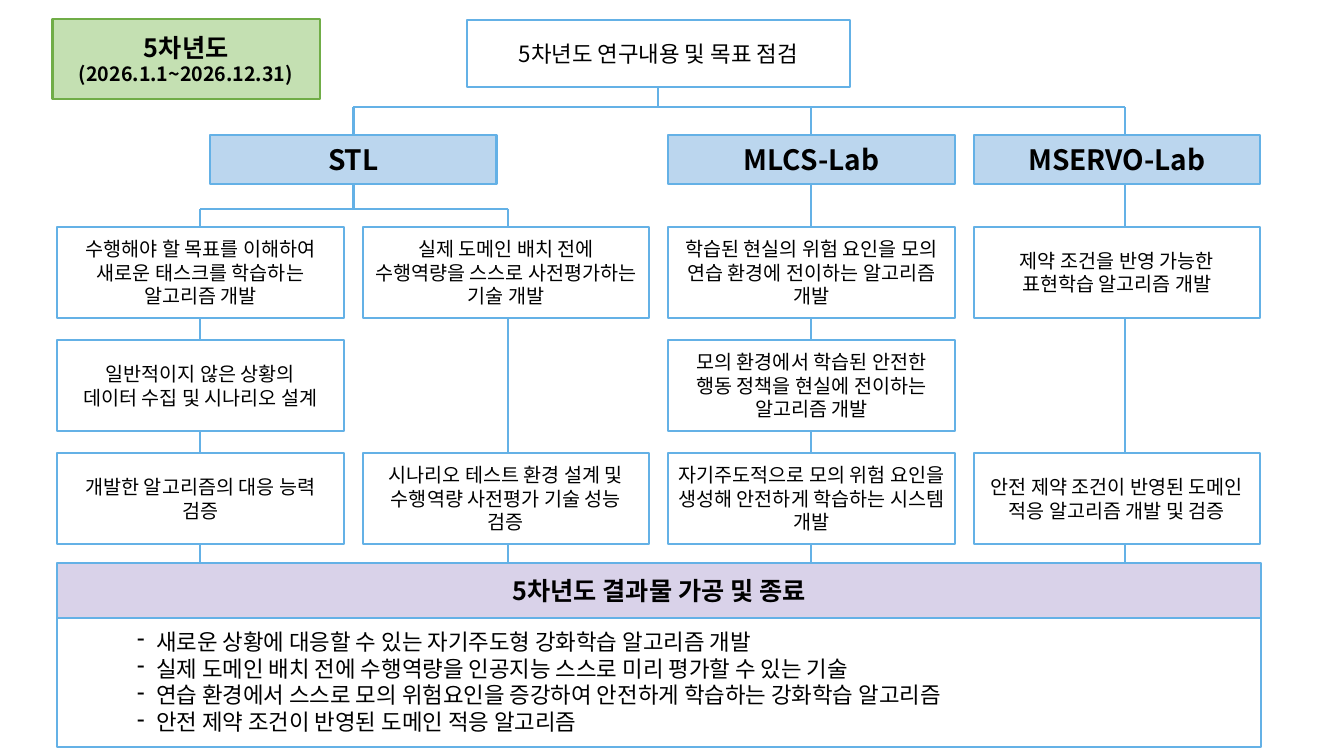
from pptx import Presentation
from pptx.dml.color import RGBColor
from pptx.enum.shapes import MSO_CONNECTOR as CONN, MSO_SHAPE as SHAPE
from pptx.enum.text import MSO_ANCHOR as ANCHOR, PP_ALIGN as ALIGN
from pptx.oxml.ns import qn
from pptx.util import Pt
from lxml import etree

FONT = "Noto Sans CJK KR"
BLUE, GREEN = "64B1E6", "70AD47"
WHITE, SKY, LILAC, LIME = "FFFFFF", "BBD6EE", "D9D2E9", "C4E0B2"

# Chart grid, in points
LEFT, PITCH, BOX_W = 41, 218.2, 204.5
ROW_TOP, ROW_PITCH, BOX_H = 162, 80.8, 65
HEAD_TOP, HEAD_H = 96.5, 35
BUS_Y, BRANCH_Y, RESULT_Y = 76.5, 149, 402.5
STL_X = 252.5
TRUNKS = [143, 363, 579, 803.5]

LABS = [("STL", STL_X - BOX_W / 2),
        ("MLCS-Lab", LEFT + 2 * PITCH),
        ("MSERVO-Lab", LEFT + 3 * PITCH)]

# One list per column; None leaves the row empty
TASKS = [
    ["수행해야 할 목표를 이해하여 새로운 태스크를 학습하는 알고리즘 개발",
     "일반적이지 않은 상황의\n데이터 수집 및 시나리오 설계",
     "개발한 알고리즘의 대응 능력 검증"],
    ["실제 도메인 배치 전에 수행역량을 스스로 사전평가하는 기술 개발",
     None,
     "시나리오 테스트 환경 설계 및\n수행역량 사전평가 기술 성능 검증"],
    ["학습된 현실의 위험 요인을 모의 연습 환경에 전이하는 알고리즘 개발",
     "모의 환경에서 학습된 안전한 행동 정책을 현실에 전이하는 알고리즘 개발",
     "자기주도적으로 모의 위험 요인을 생성해 안전하게 학습하는 시스템 개발"],
    ["제약 조건을 반영 가능한 표현학습 알고리즘 개발",
     None,
     "안전 제약 조건이 반영된 도메인 적응 알고리즘 개발 및 검증"],
]

RESULTS = [
    "새로운 상황에 대응할 수 있는 자기주도형 강화학습 알고리즘 개발",
    "실제 도메인 배치 전에 수행역량을 인공지능 스스로 미리 평가할 수 있는 기술",
    "연습 환경에서 스스로 모의 위험요인을 증강하여 안전하게 학습하는 강화학습 알고리즘",
    "안전 제약 조건이 반영된 도메인 적응 알고리즘",
]


def rgb(color):
    return RGBColor.from_string(color)


def style_text(p, size, bold=False, font=FONT, align=ALIGN.CENTER):
    p.alignment = align
    f = p.font
    f.size, f.bold, f.name = Pt(size), bold, font
    f.color.rgb = rgb("000000")
    props = p._p.pPr.find(qn("a:defRPr"))
    etree.SubElement(props, qn("a:ea")).set("typeface", FONT)


def add_dash(p, indent):
    pPr = p._p.get_or_add_pPr()
    pPr.set("marL", str(Pt(indent)))
    pPr.set("indent", str(-Pt(indent)))
    bullet = etree.Element(qn("a:buChar"))
    bullet.set("char", "-")
    pPr.insert(0, bullet)


def style_box(sp, text, size, bold=False, fill=WHITE, line=BLUE):
    sp.fill.solid()
    sp.fill.fore_color.rgb = rgb(fill)
    sp.line.color.rgb = rgb(line)
    sp.line.width = Pt(1.5)
    tf = sp.text_frame
    tf.text = text
    tf.word_wrap = True
    tf.vertical_anchor = ANCHOR.MIDDLE
    for p in tf.paragraphs:
        style_text(p, size, bold)
    return tf


def add_box(s, x, y, w, h, text="", size=14, **look):
    sp = s.shapes.add_shape(SHAPE.RECTANGLE, Pt(x), Pt(y), Pt(w), Pt(h))
    sp.shadow.inherit = False
    return style_box(sp, text, size, **look)


def add_line(s, x1, y1, x2, y2):
    c = s.shapes.add_connector(CONN.STRAIGHT, Pt(x1), Pt(y1), Pt(x2), Pt(y2))
    c.line.color.rgb = rgb(BLUE)
    c.line.width = Pt(1.5)
    etree.SubElement(c._element.spPr, qn("a:effectLst"))


def add_title(s, x, y, w, h):
    sp = s.shapes.title
    sp.left, sp.top, sp.width, sp.height = Pt(x), Pt(y), Pt(w), Pt(h)
    style_box(sp, "5차년도 연구내용 및 목표 점검", 16)


def add_period(s, x, y, w, h):
    tf = add_box(s, x, y, w, h, "5차년도\n(2026.1.1~2026.12.31)", 18,
                 bold=True, fill=LIME, line=GREEN)
    tf.paragraphs[1].font.size = Pt(14)


def add_branches(s, title_x, title_bottom):
    # Title down to the labs
    add_line(s, title_x, title_bottom, title_x, BUS_Y)
    add_line(s, STL_X, BUS_Y, TRUNKS[-1], BUS_Y)
    add_line(s, STL_X, BUS_Y, STL_X, BRANCH_Y)
    # STL splits into two columns
    add_line(s, TRUNKS[0], BRANCH_Y, TRUNKS[1], BRANCH_Y)
    for x, top in zip(TRUNKS, [BRANCH_Y, BRANCH_Y, BUS_Y, BUS_Y]):
        add_line(s, x, top, x, RESULT_Y)


def add_labs(s, y, h):
    for name, x in LABS:
        add_box(s, x, y, BOX_W, h, name, 20, bold=True, fill=SKY)


def add_tasks(s, x, y):
    for col, tasks in enumerate(TASKS):
        for row, task in enumerate(tasks):
            if task:
                add_box(s, x + col * PITCH, y + row * ROW_PITCH,
                        BOX_W, BOX_H, task)


def add_results(s, x, y, w, h, head_h):
    add_box(s, x, y, w, head_h, "5차년도 결과물 가공 및 종료", 18,
            bold=True, fill=LILAC)
    tf = add_box(s, x, y + head_h, w, h - head_h)
    tf.vertical_anchor = ANCHOR.TOP
    tf.margin_left = tf.margin_right = Pt(57)
    tf.margin_top = tf.margin_bottom = Pt(7)
    tf.text = "\n".join(RESULTS)
    for p in tf.paragraphs:
        style_text(p, 16, font="Arial", align=ALIGN.LEFT)
        add_dash(p, 13.5)


def main():
    prs = Presentation()
    prs.slide_width, prs.slide_height = Pt(960), Pt(540)
    s = prs.slides.add_slide(prs.slide_layouts[5])
    add_title(s, 333.5, 14.5, 273.5, 47.5)
    add_period(s, 37.5, 13.5, 191, 57)
    add_branches(s, 470, 62)
    add_labs(s, HEAD_TOP, HEAD_H)
    add_tasks(s, LEFT, ROW_TOP)
    add_results(s, LEFT, RESULT_Y, 859.5, 131, 39)
    prs.save("out.pptx")


if __name__ == "__main__":
    main()
